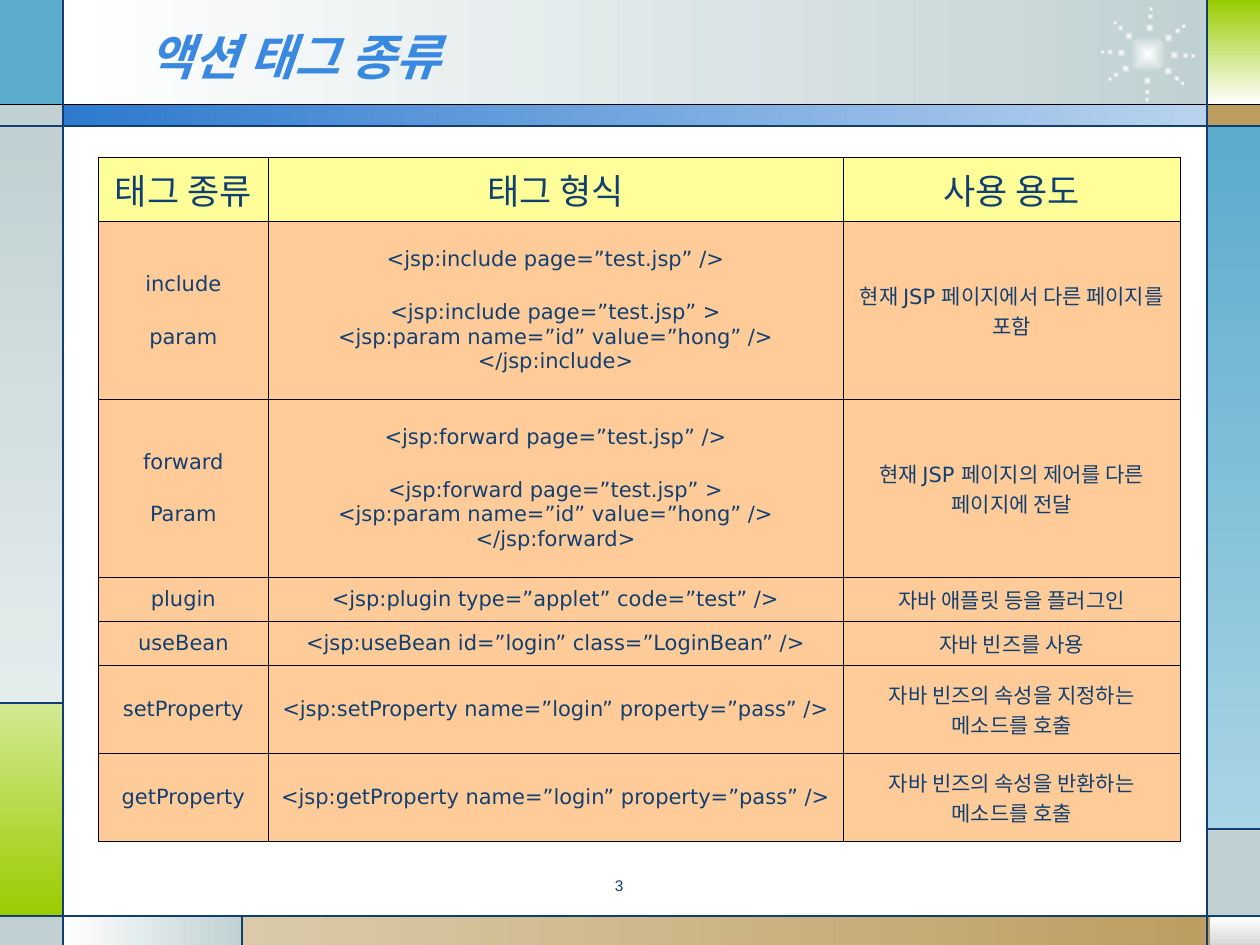
import math

from lxml import etree
from pptx import Presentation
from pptx import util as u
from pptx.dml.color import RGBColor
from pptx.enum import shapes, text
from pptx.oxml.ns import qn

COLORS = {
    "white": "FFFFFF", "black": "000000", "navy": "113F71", "title": "3989E1",
    "gray": "C1D1D3", "pale": "E5ECEC", "silver": "D8D8D8",
    "sky": "5AABCC", "light_sky": "AAD4E5", "blue": "2D7ACF", "light_blue": "B9D3EF",
    "green": "99CC00", "light_green": "D4E993", "tan": "BD9E61", "light_tan": "DBCAA9",
    "head": "FFFF99", "body": "FFCC99",
}
RIGHT, DOWN = 0, 270
PANELS = [
    ((0.5, 0, 9.09, 0.83), ("white", "gray"), RIGHT),
    ((0, 0, 0.5, 0.83), ("sky",), None),
    ((0, 0.83, 0.5, 0.17), ("gray",), None),
    ((0, 1, 0.5, 4.58), ("gray", "pale"), DOWN),
    ((0, 5.58, 0.5, 1.69), ("light_green", "green"), DOWN),
    ((0, 7.27, 0.5, 0.23), ("gray",), None),
    ((0.5, 7.27, 1.42, 0.23), ("white", "gray"), RIGHT),
    ((1.92, 7.27, 7.68, 0.23), ("light_tan", "tan"), RIGHT),
    ((9.6, 7.27, 0.4, 0.23), ("white", "silver"), DOWN),
    ((9.58, 6.58, 0.42, 0.69), ("gray",), None),
    ((9.58, 1, 0.42, 5.58), ("sky", "light_sky"), DOWN),
    ((9.58, 0.83, 0.42, 0.17), ("tan",), None),
    ((9.58, 0, 0.42, 0.83), ("green", "white"), DOWN),
    ((0.5, 0.83, 9.08, 0.17), ("blue", "light_blue"), RIGHT),
]
RULES = [
    (0, 0.83, 10, 0.83, "black"), (0, 1, 10, 1, "navy"), (0, 7.27, 10, 7.27, "navy"),
    (0.5, 0, 0.5, 7.5, "navy"), (9.58, 0, 9.58, 7.5, "navy"), (0.5, 5.58, 0, 5.58, "navy"),
    (1.92, 7.27, 1.92, 7.5, "navy"), (9.58, 6.58, 10, 6.58, "navy"),
]
RAY_ANGLES = [40, 2, -38, 91, -86, -136, 183, 147]
RAY_DOTS = [(0.3, 0.05), (0.36, 0.04), (0.21, 0.07)]
COLUMNS = [1.35, 4.56, 2.68]
ROWS = [
    (0.51, ["태그 종류"], ["태그 형식"], ["사용 용도"]),
    (1.41, ["include", "param"],
     ["<jsp:include page=”test.jsp” />", "<jsp:include page=”test.jsp” >",
      "<jsp:param name=”id” value=”hong” />", "</jsp:include>"],
     ["현재 JSP 페이지에서 다른 페이지를 포함"]),
    (1.41, ["forward", "Param"],
     ["<jsp:forward page=”test.jsp” />", "<jsp:forward page=”test.jsp” >",
      "<jsp:param name=”id” value=”hong” />", "</jsp:forward>"],
     ["현재 JSP 페이지의 제어를 다른 페이지에 전달"]),
    (0.35, ["plugin"], ["<jsp:plugin type=”applet” code=”test” />"],
     ["자바 애플릿 등을 플러그인"]),
    (0.35, ["useBean"], ["<jsp:useBean id=”login” class=”LoginBean” />"],
     ["자바 빈즈를 사용"]),
    (0.7, ["setProperty"], ["<jsp:setProperty name=”login” property=”pass” />"],
     ["자바 빈즈의 속성을 지정하는 메소드를 호출"]),
    (0.7, ["getProperty"], ["<jsp:getProperty name=”login” property=”pass” />"],
     ["자바 빈즈의 속성을 반환하는 메소드를 호출"]),
]


def rgb(name):
    """Return the named palette colour."""
    return RGBColor.from_string(COLORS[name])


def inches(box):
    """Convert each number of a box to a length."""
    return [u.Inches(v) for v in box]


def set_font(p, name, size, color):
    """Set the font of a whole paragraph."""
    p.font.name, p.font.size = name, u.Pt(size)
    p.font.color.rgb = rgb(color)


def add_filled(s, kind, box, colors, angle):
    """Add an unlined shape with a solid or two-colour fill."""
    sp = s.shapes.add_shape(kind, *inches(box))
    sp.shadow.inherit = False
    sp.line.fill.background()
    if len(colors) == 1:
        sp.fill.solid()
        sp.fill.fore_color.rgb = rgb(colors[0])
    else:
        sp.fill.gradient()
        sp.fill.gradient_angle = angle
        for stop, color in zip(sp.fill.gradient_stops, colors):
            stop.color.rgb = rgb(color)
    return sp


def add_frame(s):
    """Place the coloured panels around the slide."""
    for box, colors, angle in PANELS:
        add_filled(s, shapes.MSO_SHAPE.RECTANGLE, box, colors, angle)


def add_glow(s, cx, cy, size):
    """Add a round spot that fades outwards from white."""
    box = (cx - size / 2, cy - size / 2, size, size)
    sp = add_filled(s, shapes.MSO_SHAPE.OVAL, box, ("white", "gray"), RIGHT)
    lin = sp.element.spPr.find(".//" + qn("a:lin"))
    glow = etree.Element(qn("a:path"), {"path": "rect"})
    etree.SubElement(glow, qn("a:fillToRect"), {k: "50000" for k in "ltrb"})
    lin.getparent().replace(lin, glow)


def add_sunburst(s, cx, cy):
    """Place the central spot and its rays of dots."""
    add_glow(s, cx, cy, 0.3)
    for angle in RAY_ANGLES:
        a = math.radians(angle)
        for radius, size in RAY_DOTS:
            add_glow(s, cx + radius * math.cos(a), cy + radius * math.sin(a), size)


def add_rules(s):
    """Draw the thin lines between panels."""
    for *ends, color in RULES:
        c = s.shapes.add_connector(shapes.MSO_CONNECTOR.STRAIGHT, *inches(ends))
        c.line.color.rgb, c.line.width = rgb(color), u.Pt(0.75)
        etree.SubElement(c.element.spPr, qn("a:effectLst"))


def add_title(s, box):
    """Place the title in front of the header band."""
    sp = s.shapes.title
    sp.element.getparent().append(sp.element)
    sp.left, sp.top, sp.width, sp.height = inches(box)
    tf = sp.text_frame
    tf.text = "액션 태그 종류"
    tf.vertical_anchor = text.MSO_ANCHOR.MIDDLE
    p = tf.paragraphs[0]
    p.alignment = text.PP_ALIGN.LEFT
    set_font(p, "Noto Sans CJK KR", 28, "title")
    p.font.bold = p.font.italic = True
    ea = etree.Element(qn("a:ea"), {"typeface": "Noto Sans CJK KR"})
    p._p.find(".//" + qn("a:latin")).addnext(ea)


def add_borders(cell):
    """Give a cell thin black borders on all sides."""
    tc_pr = cell._tc.get_or_add_tcPr()
    for i, side in enumerate(("lnL", "lnR", "lnT", "lnB")):
        ln = etree.Element(qn("a:" + side), {"w": str(u.Pt(0.45))})
        fill = etree.SubElement(ln, qn("a:solidFill"))
        etree.SubElement(fill, qn("a:srgbClr"), {"val": COLORS["black"]})
        tc_pr.insert(i, ln)


def fill_cell(cell, lines, is_head):
    """Write and format one table cell."""
    cell.fill.solid()
    cell.fill.fore_color.rgb = rgb("head" if is_head else "body")
    cell.margin_left = cell.margin_right = u.Inches(0.07)
    cell.margin_top = cell.margin_bottom = u.Inches(0.05)
    cell.vertical_anchor = text.MSO_ANCHOR.MIDDLE
    add_borders(cell)
    cell.text = "\n".join(lines)
    for i, p in enumerate(cell.text_frame.paragraphs):
        p.alignment = text.PP_ALIGN.CENTER
        if i == 1:
            p.space_before = u.Pt(16)
        set_font(p, "DejaVu Sans", 20 if is_head else 12, "navy")


def add_tag_table(s, box):
    """Place the table of action tags."""
    table = s.shapes.add_table(len(ROWS), len(COLUMNS), *inches(box)).table
    table.horz_banding = False
    for column, width in zip(table.columns, COLUMNS):
        column.width = u.Inches(width)
    for i, (height, *cells) in enumerate(ROWS):
        table.rows[i].height = u.Inches(height)
        for j, lines in enumerate(cells):
            fill_cell(table.cell(i, j), lines, i == 0)


def add_page_number(s, box):
    """Place the page number."""
    tf = s.shapes.add_textbox(*inches(box)).text_frame
    tf.word_wrap = True
    tf.text = "3"
    p = tf.paragraphs[0]
    p.alignment, p.line_spacing = text.PP_ALIGN.CENTER, 0.8
    set_font(p, "Arial", 8.8, "navy")


def main():
    """Build the slide and save it."""
    prs = Presentation()
    prs.slide_width, prs.slide_height = u.Inches(10), u.Inches(7.5)
    s = prs.slides.add_slide(prs.slide_layouts[5])
    add_frame(s)
    add_sunburst(s, 9.11, 0.43)
    add_rules(s)
    add_title(s, (1.08, 0.13, 7.33, 0.62))
    add_tag_table(s, (0.78, 1.25, 8.59, 5.43))
    add_page_number(s, (3.75, 6.93, 2.33, 0.27))
    prs.save("out.pptx")


if __name__ == "__main__":
    main()
